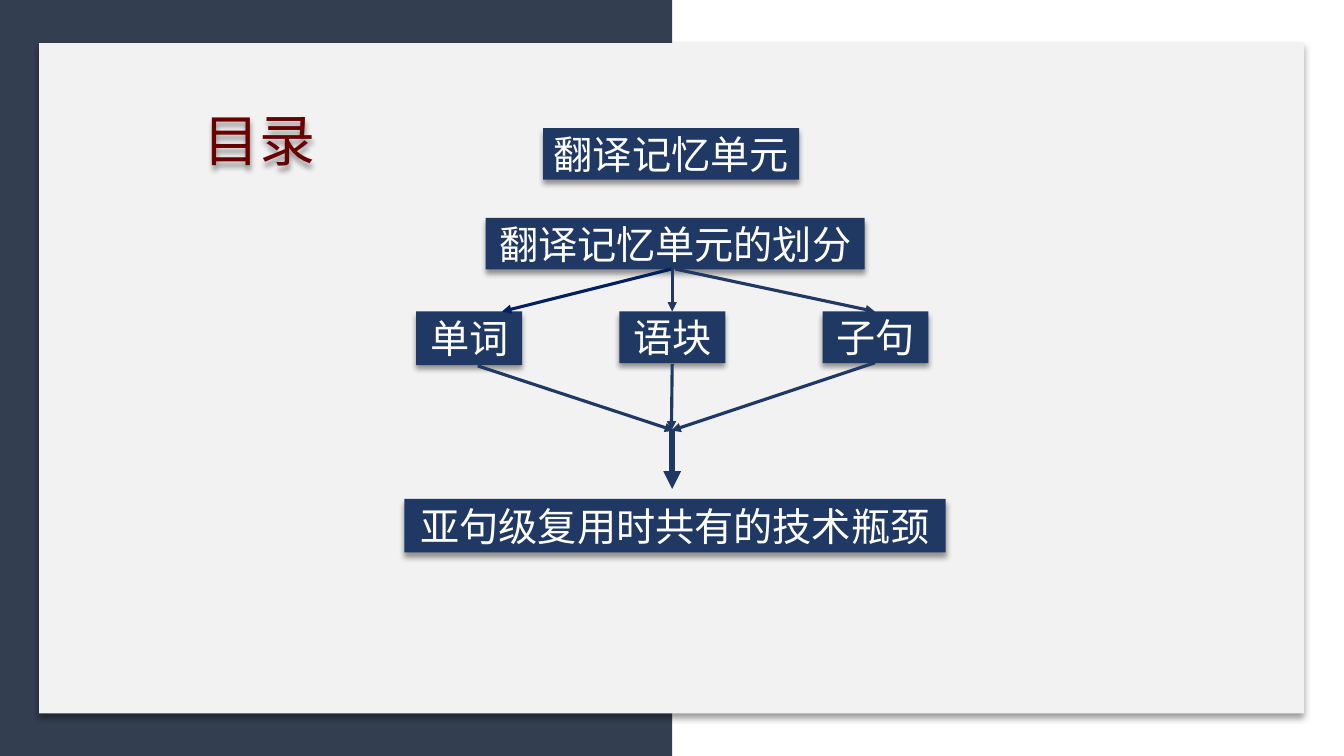
from lxml.etree import SubElement
from pptx import Presentation
from pptx.dml.color import RGBColor
from pptx.enum.shapes import MSO_CONNECTOR, MSO_SHAPE
from pptx.enum.text import MSO_ANCHOR, PP_ALIGN
from pptx.oxml.ns import qn
from pptx.util import Cm, Pt

FONT = "Noto Sans CJK SC"
COLORS = {
    "band": "333F50",
    "panel": "F2F2F2",
    "title": "680000",
    "box": "203864",
    "first_arrow": "002060",
    "white": "FFFFFF",
    "shadow": "000000",
}

# Text, left, top, width, height in centimetres
TOPIC_BOXES = [
    ("翻译记忆单元", 13.69, 3.23, 6.45, 1.3),
    ("翻译记忆单元的划分", 12.24, 5.49, 9.55, 1.3),
    ("亚句级复用时共有的技术瓶颈", 10.19, 12.57, 13.64, 1.35),
]
UNITS = [("单词", 1.35), ("语块", 1.3), ("子句", 1.3)]
UNIT_LEFT, UNIT_TOP, UNIT_WIDTH, UNIT_STEP = 10.49, 7.85, 2.67, 5.12

# Start x, start y, end x, end y in centimetres, then colour and width
ARROWS = [
    (16.92, 6.78, 12.65, 7.85, "first_arrow", 2.25),
    (16.94, 6.78, 16.94, 7.85, "box", 2.25),
    (17.02, 6.78, 22.05, 7.85, "box", 2.25),
    (22.05, 9.14, 16.92, 10.85, "box", 2.25),
    (16.94, 9.17, 16.92, 10.85, "box", 2.25),
    (12.04, 9.22, 16.99, 10.85, "box", 2.25),
    (16.94, 10.85, 16.94, 12.32, "box", 4.25),
]


def color(name):
    return RGBColor.from_string(COLORS[name])


def add_shadow(shape):
    shape.shadow.inherit = False
    effects = shape.element.spPr.find(qn("a:effectLst"))
    shadow = SubElement(effects, qn("a:outerShdw"), blurRad=str(Pt(4)),
                        dist=str(Pt(3)), dir="5400000", algn="t", rotWithShape="0")
    shade = SubElement(shadow, qn("a:srgbClr"), val=COLORS["shadow"])
    SubElement(shade, qn("a:alpha"), val="40000")


def add_rectangle(slide, left, top, width, height, fill):
    shape = slide.shapes.add_shape(MSO_SHAPE.RECTANGLE, Cm(left), Cm(top),
                                   Cm(width), Cm(height))
    shape.fill.solid()
    shape.fill.fore_color.rgb = color(fill)
    shape.line.fill.background()
    shape.shadow.inherit = False
    return shape


def write_text(shape, text, size, color_name, alignment):
    paragraph = shape.text_frame.paragraphs[0]
    paragraph.alignment = alignment
    run = paragraph.add_run()
    run.text = text
    run.font.size = Pt(size)
    run.font.color.rgb = color(color_name)
    run.font.name = FONT
    SubElement(run.font._element, qn("a:ea"), typeface=FONT)


def add_box(slide, text, left, top, width, height):
    box = add_rectangle(slide, left, top, width, height, "box")
    add_shadow(box)
    frame = box.text_frame
    frame.word_wrap = True
    frame.vertical_anchor = MSO_ANCHOR.MIDDLE
    frame.margin_left = frame.margin_right = Cm(0)
    write_text(box, text, 28, "white", PP_ALIGN.CENTER)


def add_arrow(slide, start_x, start_y, end_x, end_y, color_name, width):
    arrow = slide.shapes.add_connector(MSO_CONNECTOR.STRAIGHT, Cm(start_x),
                                       Cm(start_y), Cm(end_x), Cm(end_y))
    arrow.line.color.rgb = color(color_name)
    arrow.line.width = Pt(width)
    properties = arrow.element.spPr
    SubElement(properties.find(qn("a:ln")), qn("a:tailEnd"), type="triangle")
    SubElement(properties, qn("a:effectLst"))


def place_title(slide, text):
    title = slide.shapes.title
    title.left, title.top = Cm(4.88), Cm(2.54)
    title.width, title.height = Cm(7.16), Cm(1.96)
    title.text_frame.vertical_anchor = MSO_ANCHOR.TOP
    title.text_frame.word_wrap = True
    write_text(title, text, 40, "title", PP_ALIGN.LEFT)
    add_shadow(title)
    # Bring the title in front of the panel
    title.element.getparent().append(title.element)


def main():
    presentation = Presentation()
    presentation.slide_width = Cm(33.87)
    presentation.slide_height = Cm(19.05)
    slide = presentation.slides.add_slide(presentation.slide_layouts[5])

    # Backdrop and title
    add_rectangle(slide, 0, 0, 16.94, 19.05, "band")
    panel = add_rectangle(slide, 0.99, 1.09, 31.88, 16.89, "panel")
    add_shadow(panel)
    place_title(slide, "目录")

    # Boxes
    for topic in TOPIC_BOXES:
        add_box(slide, *topic)
    for index, (text, height) in enumerate(UNITS):
        add_box(slide, text, UNIT_LEFT + index * UNIT_STEP, UNIT_TOP,
                UNIT_WIDTH, height)

    # Arrows
    for arrow in ARROWS:
        add_arrow(slide, *arrow)

    presentation.save("out.pptx")


if __name__ == "__main__":
    main()
